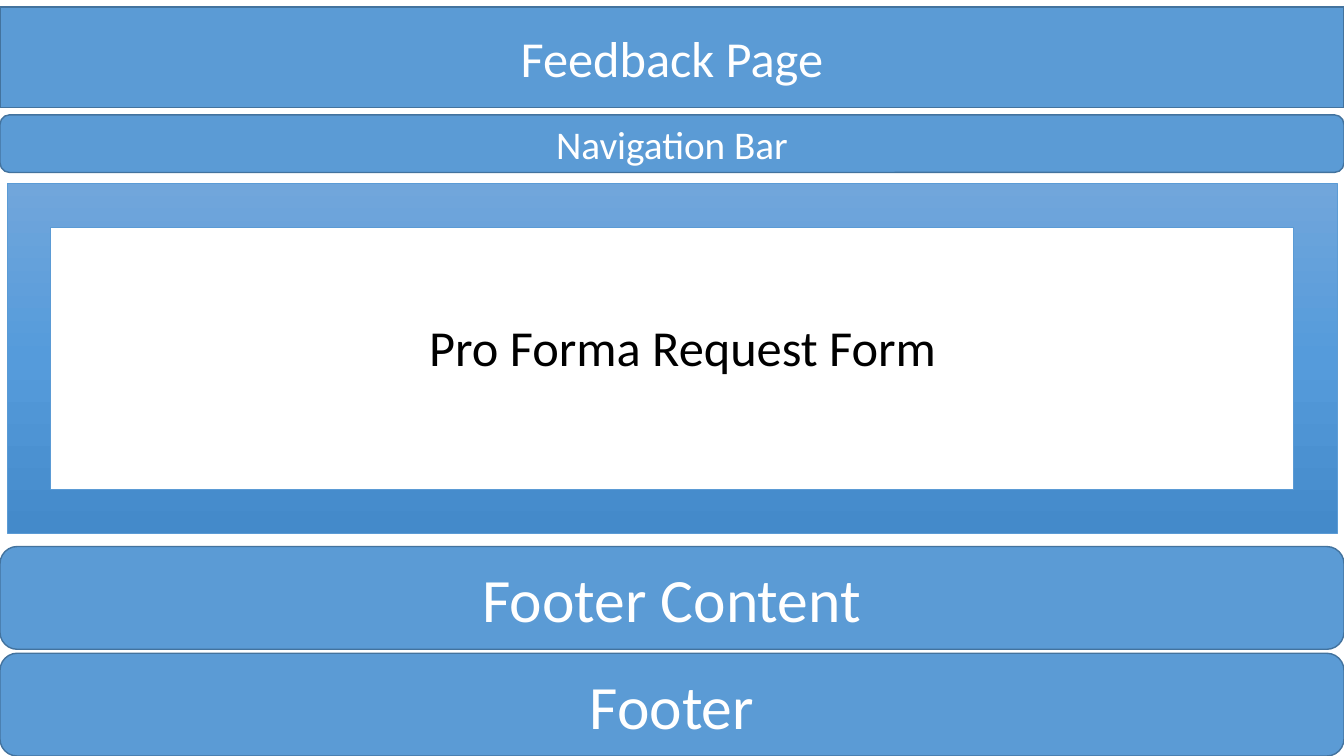
from copy import deepcopy
from dataclasses import dataclass

from lxml.etree import SubElement
from pptx import Presentation
from pptx.dml.color import RGBColor
from pptx.enum.shapes import MSO_SHAPE
from pptx.enum.text import MSO_ANCHOR, MSO_AUTO_SIZE, PP_ALIGN
from pptx.oxml.ns import qn
from pptx.util import Pt


@dataclass(frozen=True)
class Theme:
    font: str = "Calibri"
    bar: str = "5B9BD5"
    bar_line: str = "43739E"
    light: str = "FFFFFF"
    dark: str = "000000"
    gradient: tuple = ((0, "71A6DB"), (0.5, "559BDB"), (1, "448ACA"))
    nav: int = 28
    heading: int = 36
    footer: int = 44


T = Theme()
SLIDE_W, SLIDE_H = 960, 540


def rgb(value):
    return RGBColor.from_string(value)


def set_text(sp, text, *, size, color=T.light, align=PP_ALIGN.CENTER,
             anchor=MSO_ANCHOR.MIDDLE, wrap=True, fit=MSO_AUTO_SIZE.NONE):
    tf = sp.text_frame
    tf.word_wrap = wrap
    tf.auto_size = fit
    tf.vertical_anchor = anchor
    p = tf.paragraphs[0]
    p.alignment = align
    r = p.add_run()
    r.text = text
    r.font.name = T.font
    r.font.size = Pt(size)
    r.font.color.rgb = rgb(color)


def set_line(sp, color, width):
    sp.line.color.rgb = rgb(color)
    sp.line.width = Pt(width)


def style_bar(sp, text, size):
    sp.fill.solid()
    sp.fill.fore_color.rgb = rgb(T.bar)
    set_line(sp, T.bar_line, 1)
    set_text(sp, text, size=size)


def add_title_bar(s, text, top, height, size):
    sp = s.shapes.title
    sp.left, sp.top, sp.width, sp.height = Pt(0), Pt(top), Pt(SLIDE_W), Pt(height)
    # Rounded outline for the placeholder
    geom = SubElement(sp.element.spPr, qn("a:prstGeom"), prst="roundRect")
    SubElement(geom, qn("a:avLst"))
    style_bar(sp, text, size)


def add_bar(s, text, top, height, size):
    sp = s.shapes.add_shape(MSO_SHAPE.ROUNDED_RECTANGLE,
                            Pt(0), Pt(top), Pt(SLIDE_W), Pt(height))
    sp.shadow.inherit = False
    style_bar(sp, text, size)


def add_frame(s, left, top, width, height):
    sp = s.shapes.add_shape(MSO_SHAPE.FRAME,
                            Pt(left), Pt(top), Pt(width), Pt(height))
    sp.shadow.inherit = False
    sp.fill.gradient()
    sp.fill.gradient_angle = 270
    # A new gradient has two stops; add the middle one
    stops = sp.element.spPr.find(qn("a:gradFill")).find(qn("a:gsLst"))
    stops.insert(1, deepcopy(stops[0]))
    for stop, (position, color) in zip(sp.fill.gradient_stops, T.gradient):
        stop.position = position
        stop.color.rgb = rgb(color)
    set_line(sp, T.bar, 0.5)


def add_label(s, text, left, top, width, height):
    sp = s.shapes.add_textbox(Pt(left), Pt(top), Pt(width), Pt(height))
    set_text(sp, text, size=T.heading, color=T.dark, align=PP_ALIGN.LEFT,
             anchor=MSO_ANCHOR.TOP, wrap=False,
             fit=MSO_AUTO_SIZE.SHAPE_TO_FIT_TEXT)


def main():
    prs = Presentation()
    prs.slide_width, prs.slide_height = Pt(SLIDE_W), Pt(SLIDE_H)
    s = prs.slides.add_slide(prs.slide_layouts[5])

    # Header and navigation
    add_title_bar(s, "Feedback Page", 5, 72, T.heading)
    add_bar(s, "Navigation Bar", 82, 41.2, T.nav)

    # Footer bars, stacked up from the bottom edge
    height, gap = 73.4, 2.8
    for i, text in enumerate(("Footer", "Footer Content")):
        add_bar(s, text, SLIDE_H - height - i * (height + gap), height, T.footer)

    # Form area
    add_frame(s, 5, 131, 950, 250)
    add_label(s, "Pro Forma Request Form", 299.5, 222.5, 383, 51)

    prs.save("out.pptx")


if __name__ == "__main__":
    main()
